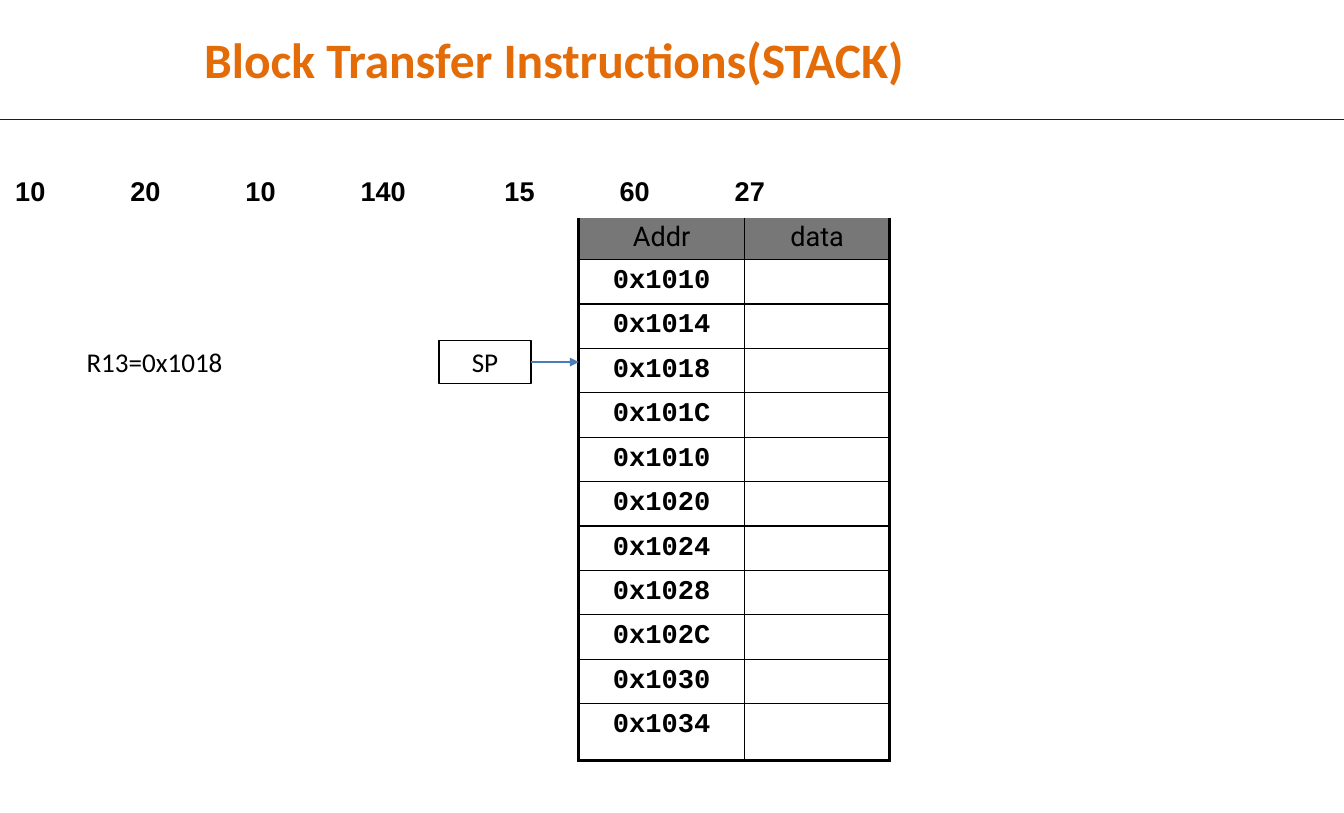
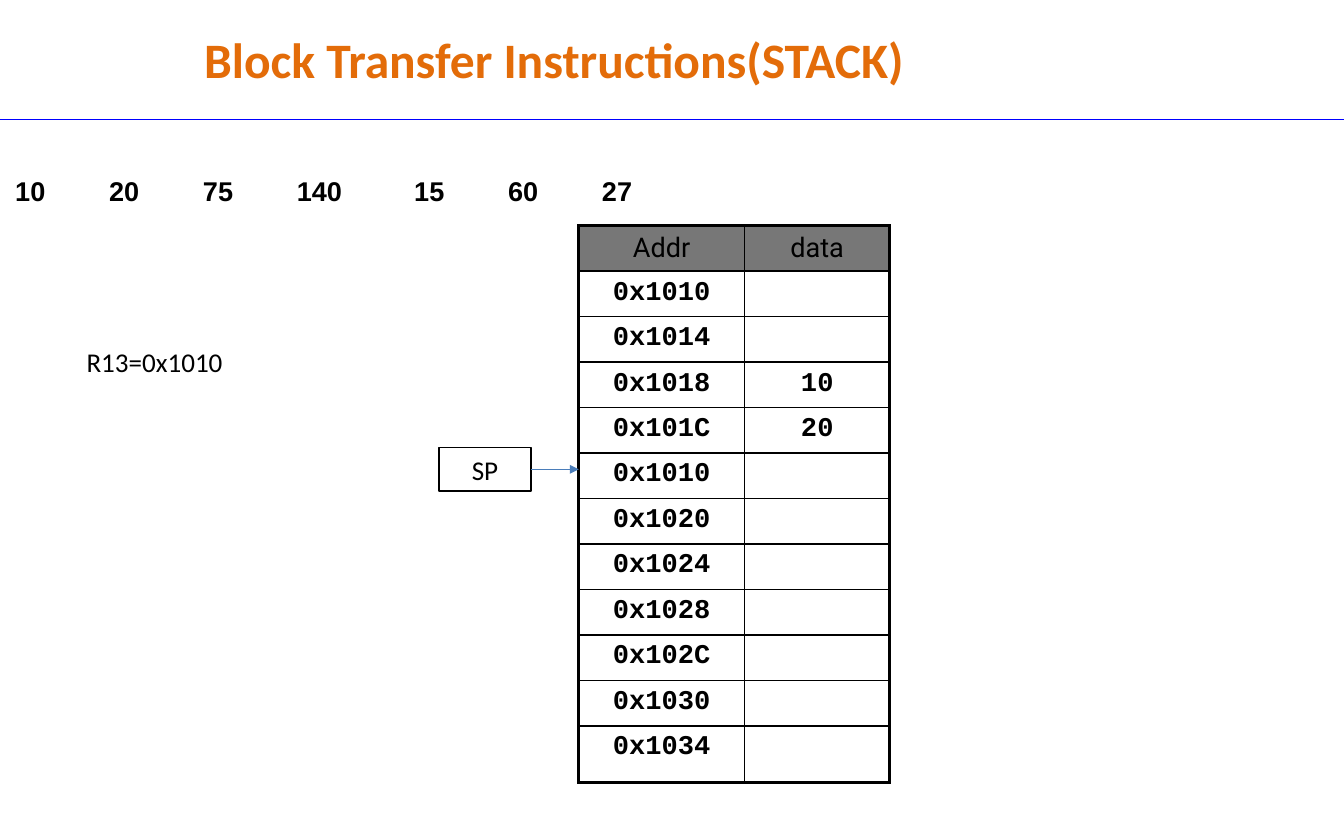
from dataclasses import dataclass
from typing import NamedTuple

from lxml.etree import SubElement
from pptx import Presentation
from pptx.dml.color import RGBColor
from pptx.enum.shapes import MSO_CONNECTOR as Connector, MSO_SHAPE as Shape
from pptx.enum.text import MSO_ANCHOR as Anchor, PP_ALIGN as Align
from pptx.oxml.ns import qn
from pptx.util import Pt

PX = 9144  # 100 px to the inch


@dataclass(frozen=True)
class Theme:
    black: str = "000000"
    white: str = "FFFFFF"
    title: str = "E36C09"
    rule: str = "0000FF"
    arrow: str = "4A7DBA"
    header: str = "777777"
    body_font: str = "Calibri"
    header_font: str = "Roboto"
    code_font: str = "Courier New"
    queue_font: str = "Arial"
    title_size: float = 32.9
    body_size: float = 18
    thin: float = 0.75
    grid: float = 1
    frame: float = 2.25
    queue_base: float = 3


class Box(NamedTuple):
    left: int
    top: int
    width: int
    height: int

    def emu(self):
        return [round(length * PX) for length in self]


@dataclass(frozen=True)
class StackState:
    queue: tuple
    queue_width: int
    register: str
    stored: dict
    memory_top: int
    row_height: int
    pointer_top: int


THEME = Theme()
PAGE = Box(0, 0, 1240, 750)
TITLE = "Block Transfer Instructions(STACK)"
ADDRESSES = ("0x1010", "0x1014", "0x1018", "0x101C", "0x1010", "0x1020",
             "0x1024", "0x1028", "0x102C", "0x1030", "0x1034")
MEMORY_COLUMNS = (153, 134)
LAST_ROW = 52
QUEUE_WEIGHTS = (40, 40, 40, 50, 40, 40, 87)

STATES = (
    StackState(("10", "20", "10", "140", "15", "60", "27"), 895,
               "R13=0x1018", {}, 198, 41, 314),
    StackState(("10", "20", "75", "140", "15", "60", "27"), 730,
               "R13=0x1010", {"0x1018": "10", "0x101C": "20"}, 208, 42, 413),
)


def write(frame, text, font=THEME.body_font, size=THEME.body_size,
          colour=THEME.black, bold=False, align=Align.LEFT):
    para = frame.paragraphs[0]
    para.alignment = align
    span = para.add_run()
    span.text = text
    span.font.name = font
    span.font.size = Pt(size)
    span.font.bold = bold
    span.font.color.rgb = RGBColor.from_string(colour)


def add_label(page, box, text, **style):
    label = page.shapes.add_textbox(*box.emu())
    label.text_frame.word_wrap = True
    label.text_frame.vertical_anchor = Anchor.MIDDLE
    write(label.text_frame, text, **style)


def add_line(page, start, end, colour):
    ends = [length * PX for length in (*start, *end)]
    line = page.shapes.add_connector(Connector.STRAIGHT, *ends)
    line.line.width = Pt(THEME.thin)
    line.line.color.rgb = RGBColor.from_string(colour)
    SubElement(line._element.spPr, qn("a:effectLst"))
    return line


def add_plain_table(page, box, widths, heights):
    """Add a table without the banding and header of its style."""
    table = page.shapes.add_table(len(heights), len(widths), *box.emu()).table
    table.first_row = table.horz_banding = False
    for column, width in zip(table.columns, widths):
        column.width = round(width * PX)
    for row, height in zip(table.rows, heights):
        row.height = round(height * PX)
    return table


def style_cell(cell, colour, borders, fill=None):
    """Draw borders, given in points as left, right, top, bottom, then fill."""
    props = cell._tc.get_or_add_tcPr()
    for side, points in zip("LRTB", borders):
        edge = SubElement(props, qn(f"a:ln{side}"), w=str(int(Pt(points))))
        paint = SubElement(edge, qn("a:solidFill"))
        SubElement(paint, qn("a:srgbClr"), val=colour)
    if fill:
        cell.fill.solid()
        cell.fill.fore_color.rgb = RGBColor.from_string(fill)
    else:
        cell.fill.background()


def add_heading(page, box):
    add_label(page, Box(box.left, box.top + 21, 1022, 67), TITLE,
              font=THEME.body_font, size=THEME.title_size,
              colour=THEME.title, bold=True, align=Align.CENTER)
    rule_y = box.top + box.height
    add_line(page, (box.left, rule_y), (box.left + box.width, rule_y), THEME.rule)


def add_memory(page, left, top, row_height, stored):
    """Draw the address and data table; stored maps addresses to values."""
    rows = [("Addr", "data")]
    rows += [(address, stored.get(address, "")) for address in ADDRESSES]
    heights = [row_height] * (len(rows) - 1) + [LAST_ROW]
    box = Box(left, top, sum(MEMORY_COLUMNS), sum(heights))
    table = add_plain_table(page, box, MEMORY_COLUMNS, heights)
    for y, row in enumerate(rows):
        is_header = y == 0
        for x, text in enumerate(row):
            cell = table.cell(y, x)
            outer = (x == 0, x == 1, is_header, y == len(rows) - 1)
            borders = [THEME.frame if edge else THEME.grid for edge in outer]
            style_cell(cell, THEME.black, borders,
                       THEME.header if is_header else None)
            if text:
                cell.margin_left = cell.margin_right = 12 * PX
                cell.margin_top = cell.margin_bottom = 6 * PX
                write(cell.text_frame, text, align=Align.CENTER,
                      font=THEME.header_font if is_header else THEME.code_font,
                      bold=not is_header)


def add_queue(page, box, values):
    unit = box.width / sum(QUEUE_WEIGHTS)
    widths = [weight * unit for weight in QUEUE_WEIGHTS]
    table = add_plain_table(page, box, widths, [box.height])
    borders = [THEME.grid] * 3 + [THEME.queue_base]
    for x, value in enumerate(values):
        cell = table.cell(0, x)
        style_cell(cell, THEME.white, borders, THEME.white)
        write(cell.text_frame, value, font=THEME.queue_font, bold=True)


def add_pointer(page, box, target_x):
    """Draw the SP box with its arrow to the memory table."""
    pointer = page.shapes.add_shape(Shape.RECTANGLE, *box.emu())
    pointer.shadow.inherit = False
    pointer.fill.background()
    pointer.line.width = Pt(THEME.thin)
    pointer.line.color.rgb = RGBColor.from_string(THEME.black)
    write(pointer.text_frame, "SP", align=Align.CENTER)
    middle = box.top + box.height // 2
    arrow = add_line(page, (box.left + box.width, middle),
                     (target_x, middle), THEME.arrow)
    arrow.begin_connect(pointer, 3)
    SubElement(arrow._element.spPr.find(qn("a:ln")), qn("a:tailEnd"),
               type="triangle")


def add_stack_page(deck, state):
    page = deck.slides.add_slide(deck.slide_layouts[6])
    memory_left = 534
    add_memory(page, memory_left, state.memory_top, state.row_height, state.stored)
    add_queue(page, Box(4, 158, state.queue_width, 41), state.queue)
    add_pointer(page, Box(405, state.pointer_top, 85, 40), memory_left)
    add_label(page, Box(70, 314, 182, 40), state.register)
    add_heading(page, Box(0, 0, PAGE.width, 110))


def main():
    deck = Presentation()
    deck.slide_width = PAGE.width * PX
    deck.slide_height = PAGE.height * PX
    for state in STATES:
        add_stack_page(deck, state)
    deck.save("out.pptx")


if __name__ == "__main__":
    main()
